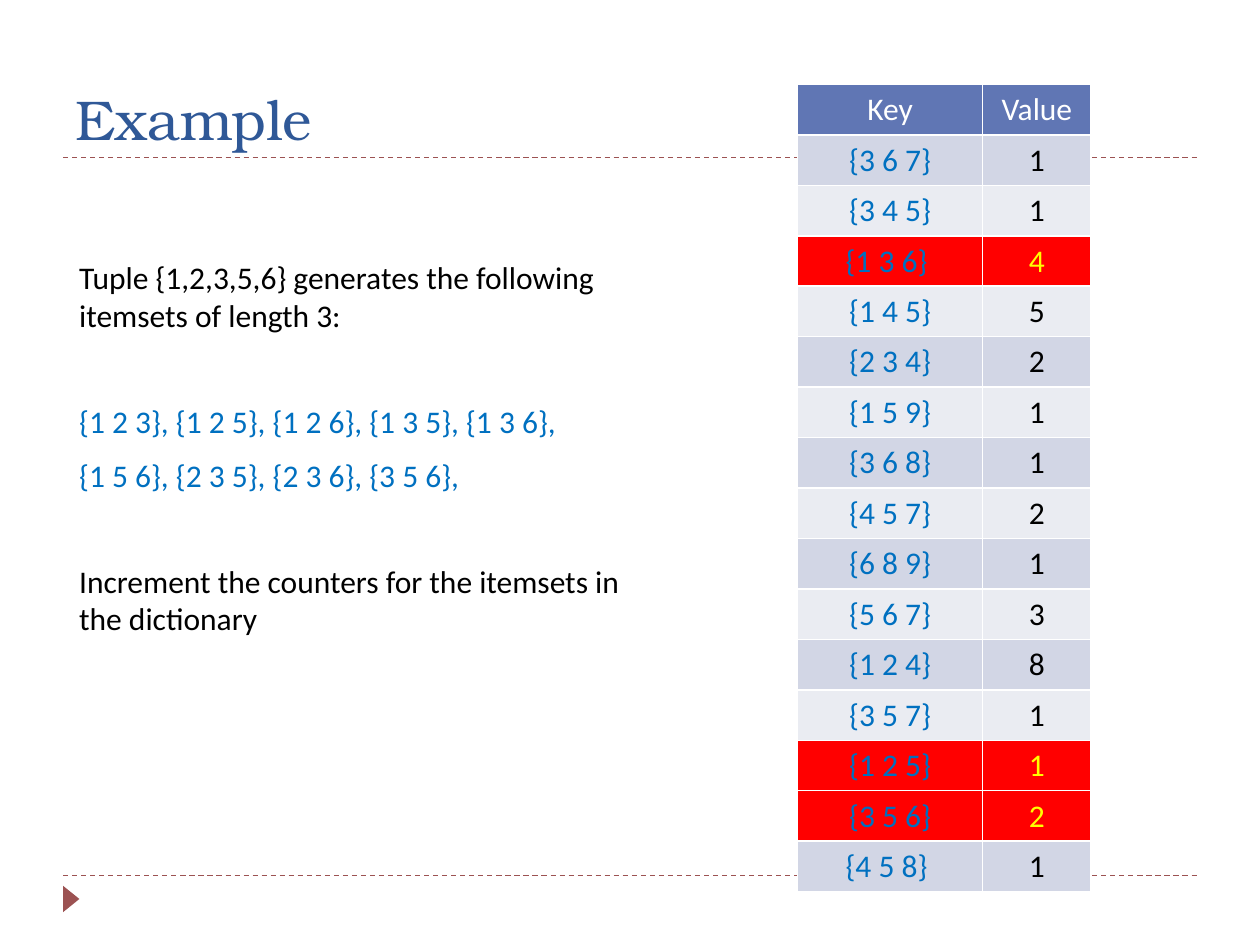
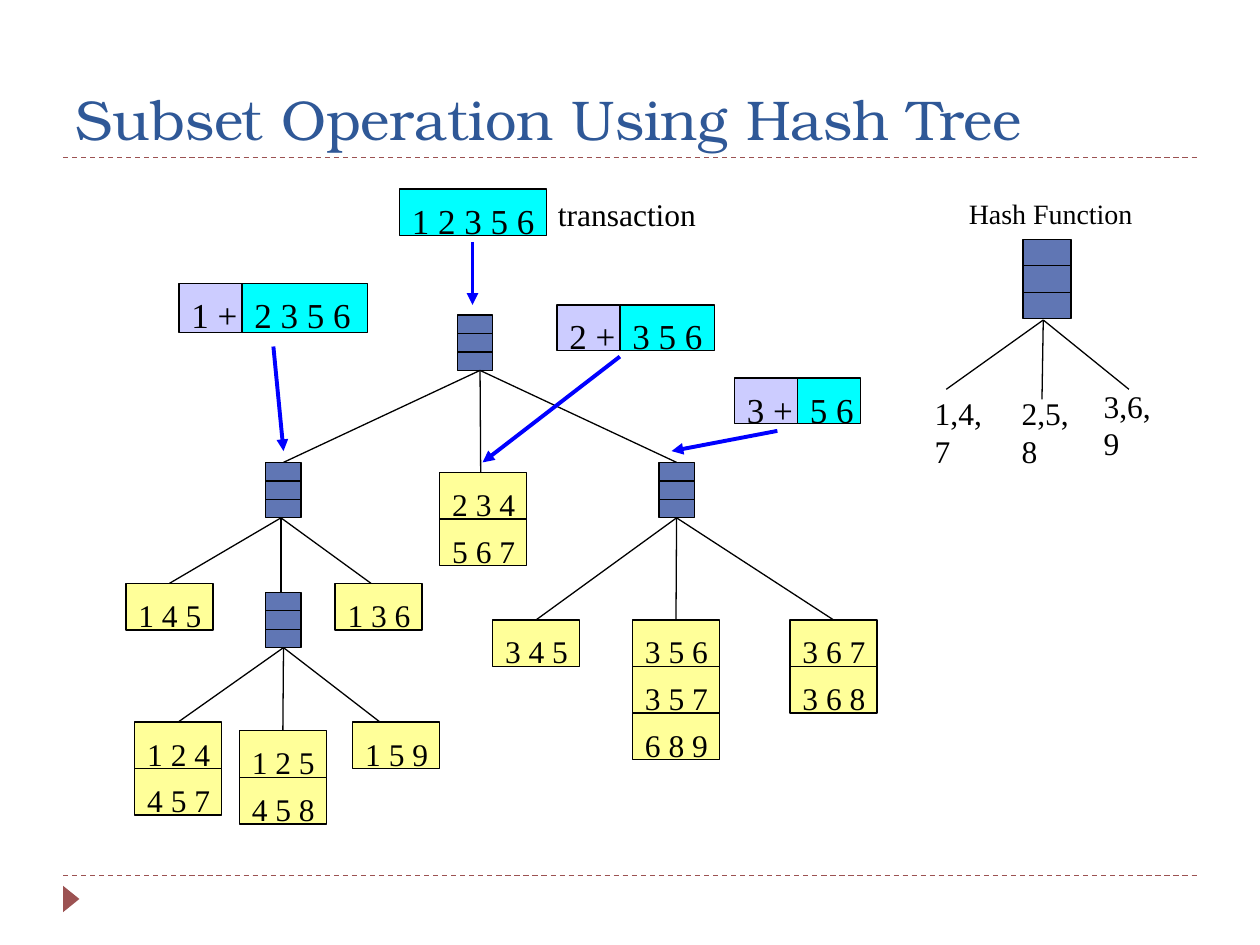
from lxml.etree import SubElement
from pptx import Presentation
from pptx.dml.color import RGBColor
from pptx.enum.dml import MSO_LINE
from pptx.enum.shapes import MSO_CONNECTOR, MSO_SHAPE as SHAPE
from pptx.enum.text import MSO_ANCHOR as ANCHOR, PP_ALIGN as ALIGN
from pptx.oxml.ns import qn
from pptx.util import Inches, Pt

TITLE_FONT, BODY_FONT, TREE_FONT = "TeX Gyre Bonum", "Calibri", "Times New Roman"
BLACK, WHITE, RED, YELLOW = "000000", "FFFFFF", "FF0000", "FFFF00"
NAVY, BRICK, SLATE, AZURE = "2F5897", "9C5252", "6076B4", "0070C0"
BANDS = ("D2D6E5", "EAECF2")
LEAF, PREFIX, SUFFIX, ARROW = "FFFF99", "CCCCFF", "00FFFF", "0000FF"

EXPLANATION = [
    ("Tuple {1,2,3,5,6} generates the following itemsets of length 3:", BLACK, 0),
    ("{1 2 3}, {1 2 5}, {1 2 6}, {1 3 5}, {1 3 6},", AZURE, 39),
    ("{1 5 6}, {2 3 5}, {2 3 6}, {3 5 6},", AZURE, 9),
    ("Increment the counters for the itemsets in the dictionary", BLACK, 39),
]
HEADER = ("Key", "Value")
COUNTERS = [
    ("{3 6 7}", 1), ("{3 4 5}", 1), ("{1 3 6} ", 4), ("{1 4 5}", 5), ("{2 3 4}", 2),
    ("{1 5 9}", 1), ("{3 6 8}", 1), ("{4 5 7}", 2), ("{6 8 9}", 1), ("{5 6 7}", 3),
    ("{1 2 4}", 8), ("{3 5 7}", 1), ("{1 2 5}", 1), ("{3 5 6}", 2), ("{4 5 8} ", 1),
]
INCREMENTED = {"{1 3 6}", "{1 2 5}", "{3 5 6}"}
KEY_WIDTH, VALUE_WIDTH, ROW_HEIGHT = 1.47, 0.86, 0.4

BUCKET_SIZE = (0.28, 0.44)
BUCKETS = {"root": (3.63, 2.5), "left": (2.11, 3.67), "right": (5.23, 3.67), "inner": (2.11, 4.7)}
LEAF_WIDTH, LEAF_HEIGHT = 0.69, 0.37
LEAVES = [
    (3.49, 3.75, ["2 3 4", "5 6 7"]),
    (1, 4.63, ["1 4 5"]),
    (2.66, 4.63, ["1 3 6"]),
    (3.91, 4.92, ["3 4 5"]),
    (5.02, 4.92, ["3 5 6", "3 5 7", "6 8 9"]),
    (6.27, 4.92, ["3 6 7", "3 6 8"]),
    (1.07, 5.73, ["1 2 4", "4 5 7"]),
    (1.9, 5.8, ["1 2 5", "4 5 8"]),
    (2.8, 5.73, ["1 5 9"]),
]
BRANCHES = {
    "root": ["left", "2 3 4", "right"],
    "left": ["1 4 5", "inner", "1 3 6"],
    "right": ["3 4 5", "3 5 6", "3 6 7"],
    "inner": ["1 2 4", "1 2 5", "1 5 9"],
}
BRANCH_START_SHIFT = {"root": 0.04, "left": -0.02}
BRANCH_END_SHIFT = {"2 3 4": -0.02, "inner": -0.02, "1 3 6": -0.06, "1 5 9": -0.13}

TRANSACTION_PARTS = [
    (3.17, 1.5, 1.17, 0.37, "1 2 3 5 6", SUFFIX),
    (1.42, 2.25, 0.5, 0.39, "1 +", PREFIX),
    (1.92, 2.25, 1, 0.39, "2 3 5 6", SUFFIX),
    (4.42, 2.42, 0.5, 0.36, "2 +", PREFIX),
    (4.92, 2.42, 0.75, 0.36, "3 5 6", SUFFIX),
    (5.83, 3, 0.5, 0.36, "3 +", PREFIX),
    (6.33, 3, 0.5, 0.36, "5 6", SUFFIX),
]
DESCENTS = [
    ((3.75, 1.92), (3.75, 2.42)),
    ((2.17, 2.75), (2.25, 3.58)),
    ((4.92, 2.83), (3.83, 3.67)),
    ((6.17, 3.42), (5.33, 3.58)),
]
HASH_BUCKET = (8.12, 1.9, 0.38, 0.63)
HASH_START = (8.28, 2.54)
HASH_ENDS = [(7.51, 3.09), (8.27, 3.17), (8.96, 3.09)]
LABELS = [
    (4.33, 1.5, 1.35, 0.4, "transaction", 18),
    (7.59, 1.51, 1.55, 0.37, "Hash Function", 16),
    (7.32, 3.08, 0.59, 0.7, "1,4,7", 18),
    (8.01, 3.08, 0.59, 0.7, "2,5,8", 18),
    (8.66, 3.02, 0.59, 0.7, "3,6,9", 18),
]


def rgb(color):
    return RGBColor.from_string(color)


def style(paragraph, font_name, size, color):
    font = paragraph.font
    font.name, font.size, font.bold = font_name, Pt(size), False
    font.color.rgb = rgb(color)


def add_line(slide, start, end, color=BLACK, width=0.75, dashed=False, arrow=False):
    line = slide.shapes.add_connector(MSO_CONNECTOR.STRAIGHT, *map(Inches, start + end))
    line.line.color.rgb = rgb(color)
    line.line.width = Pt(width)
    if dashed:
        line.line.dash_style = MSO_LINE.DASH
    properties = line._element.spPr
    if arrow:
        SubElement(properties.find(qn("a:ln")), qn("a:tailEnd"), type="triangle")
    SubElement(properties, qn("a:effectLst"))
    return line


def add_shape(slide, kind, box, fill, outline=BLACK):
    shape = slide.shapes.add_shape(kind, *map(Inches, box))
    shape.shadow.inherit = False
    shape.fill.solid()
    shape.fill.fore_color.rgb = rgb(fill)
    if outline:
        shape.line.color.rgb = rgb(outline)
        shape.line.width = Pt(0.75)
    else:
        shape.line.fill.background()
    return shape


def add_text(slide, box, paragraphs, font_name, size, anchor=ANCHOR.TOP):
    frame = slide.shapes.add_textbox(*map(Inches, box)).text_frame
    frame.word_wrap = True
    frame.vertical_anchor = anchor
    for index, (words, color, space) in enumerate(paragraphs):
        paragraph = frame.add_paragraph() if index else frame.paragraphs[0]
        paragraph.text = words
        if space:
            paragraph.space_before = Pt(space)
        style(paragraph, font_name, size, color)


def add_itemset(slide, box, itemset, fill, size, top):
    cell = add_shape(slide, SHAPE.RECTANGLE, box, fill)
    frame = cell.text_frame
    frame.word_wrap = True
    frame.vertical_anchor = ANCHOR.TOP
    frame.margin_top = Inches(top)
    frame.margin_right = frame.margin_bottom = 0
    paragraph = frame.paragraphs[0]
    paragraph.text = itemset
    paragraph.alignment = ALIGN.LEFT
    style(paragraph, TREE_FONT, size, BLACK)
    return cell


def add_bucket(slide, left, top, width, height):
    bucket = add_shape(slide, SHAPE.RECTANGLE, (left, top, width, height), SLATE)
    for third in (1, 2):
        y = top + height * third / 3
        add_line(slide, (left, y), (left + width, y))
    return bucket


def new_slide(deck, title):
    slide = deck.slides.add_slide(deck.slide_layouts[6])
    for y in (6.95, 1.25):
        add_line(slide, (0.5, y), (9.5, y), BRICK, dashed=True)
    marker = add_shape(slide, SHAPE.ISOSCELES_TRIANGLE, (0.46, 7.07, 0.21, 0.13), BRICK, None)
    marker.rotation = 90
    add_text(slide, (0.5, 0.25, 9, 1), [(title, NAVY, 0)], TITLE_FONT, 32, ANCHOR.BOTTOM)
    return slide


def fill_cell(cell, words, fill, color):
    cell.fill.solid()
    cell.fill.fore_color.rgb = rgb(fill)
    paragraph = cell.text_frame.paragraphs[0]
    paragraph.text = str(words)
    paragraph.alignment = ALIGN.CENTER
    style(paragraph, BODY_FONT, 18, color)


def build_example(deck):
    slide = new_slide(deck, "Example")
    add_text(slide, (0.53, 2, 4.65, 3.28), EXPLANATION, BODY_FONT, 18)
    row_count = len(COUNTERS) + 1
    box = (6.33, 0.67, KEY_WIDTH + VALUE_WIDTH, ROW_HEIGHT * row_count)
    table = slide.shapes.add_table(row_count, 2, *map(Inches, box)).table
    table.columns[0].width, table.columns[1].width = Inches(KEY_WIDTH), Inches(VALUE_WIDTH)
    for column, heading in enumerate(HEADER):
        fill_cell(table.cell(0, column), heading, SLATE, WHITE)
    for row, (key, value) in enumerate(COUNTERS, 1):
        incremented = key.strip() in INCREMENTED
        fill = RED if incremented else BANDS[(row - 1) % 2]
        fill_cell(table.cell(row, 0), key, fill, AZURE)
        fill_cell(table.cell(row, 1), value, fill, YELLOW if incremented else BLACK)


def build_hash_tree(deck):
    slide = new_slide(deck, "Subset Operation Using Hash Tree")
    nodes = {name: add_bucket(slide, *corner, *BUCKET_SIZE) for name, corner in BUCKETS.items()}
    for left, top, itemsets in LEAVES:
        for index, itemset in enumerate(itemsets):
            box = (left, top + index * LEAF_HEIGHT, LEAF_WIDTH, LEAF_HEIGHT)
            nodes[itemset] = add_itemset(slide, box, itemset, LEAF, 18, 0.1)

    for parent_name, children in BRANCHES.items():
        parent = nodes[parent_name]
        start_shift = BRANCH_START_SHIFT.get(parent_name, 0)
        start = ((parent.left + parent.width / 2) / Inches(1) + start_shift,
                 (parent.top + parent.height) / Inches(1))
        for child_name in children:
            child = nodes[child_name]
            end_shift = BRANCH_END_SHIFT.get(child_name, 0)
            end = ((child.left + child.width / 2) / Inches(1) + end_shift, child.top / Inches(1))
            branch = add_line(slide, start, end)
            if not start_shift:
                branch.begin_connect(parent, 2)
            if not end_shift:
                branch.end_connect(child, 0)

    for *box, itemset, fill in TRANSACTION_PARTS:
        add_itemset(slide, box, itemset, fill, 20, 0.08)
    for start, end in DESCENTS:
        add_line(slide, start, end, ARROW, 2.25, arrow=True)

    add_bucket(slide, *HASH_BUCKET)
    for end in HASH_ENDS:
        add_line(slide, HASH_START, end)
    for *box, words, size in LABELS:
        add_text(slide, box, [(words, BLACK, 0)], TREE_FONT, size)


def main():
    deck = Presentation()
    deck.slide_width, deck.slide_height = Inches(10), Inches(7.5)
    build_example(deck)
    build_hash_tree(deck)
    deck.save("out.pptx")


if __name__ == "__main__":
    main()
